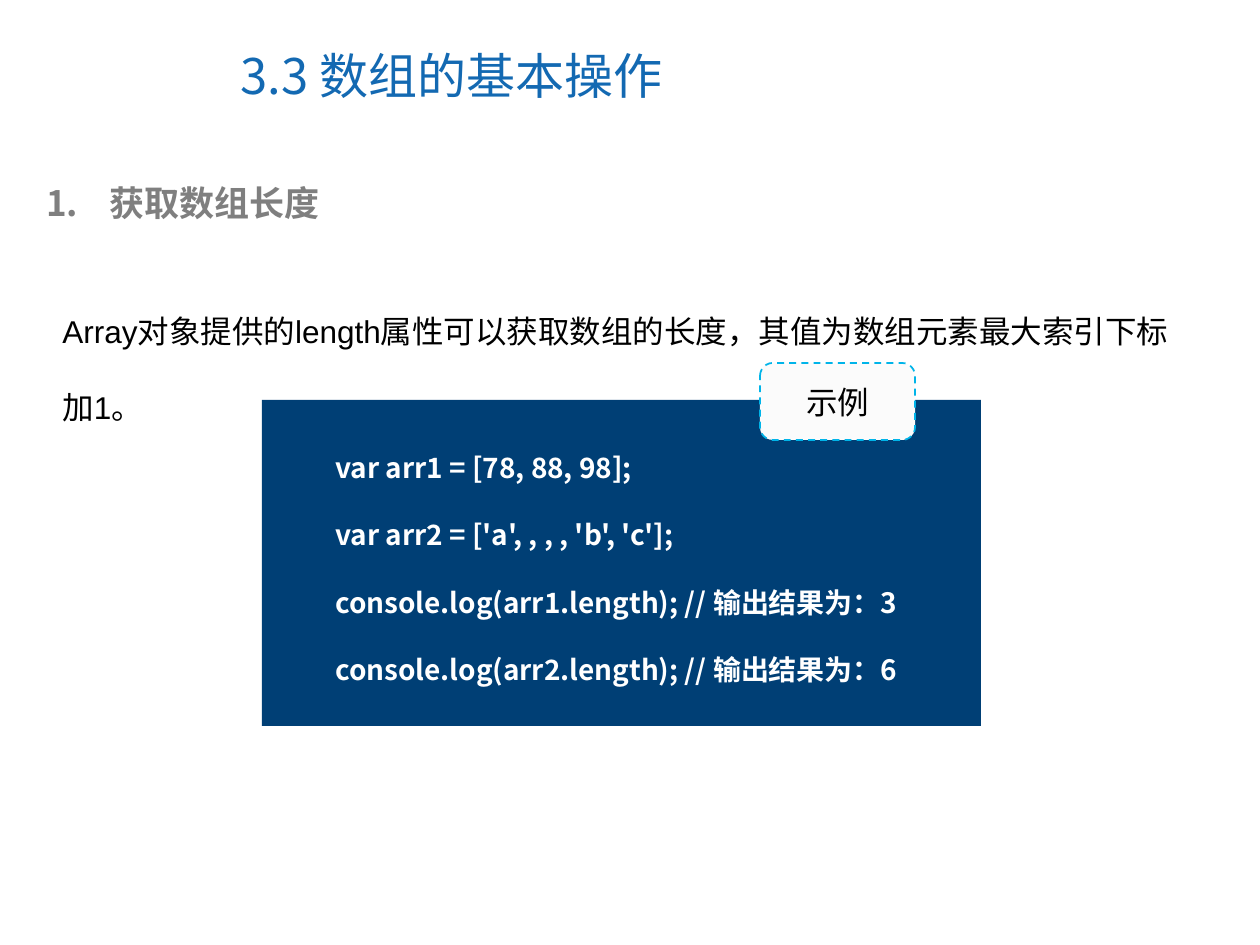
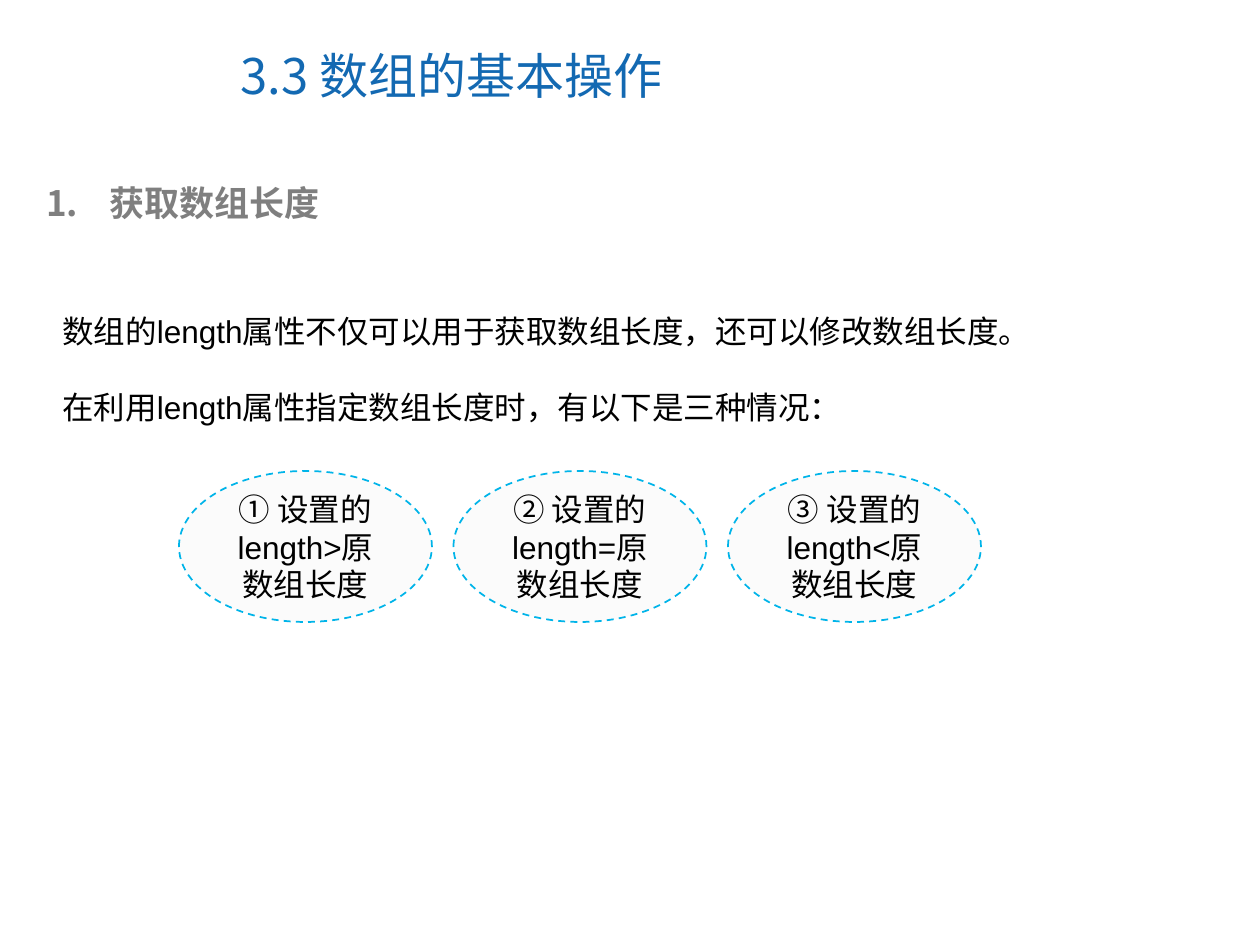
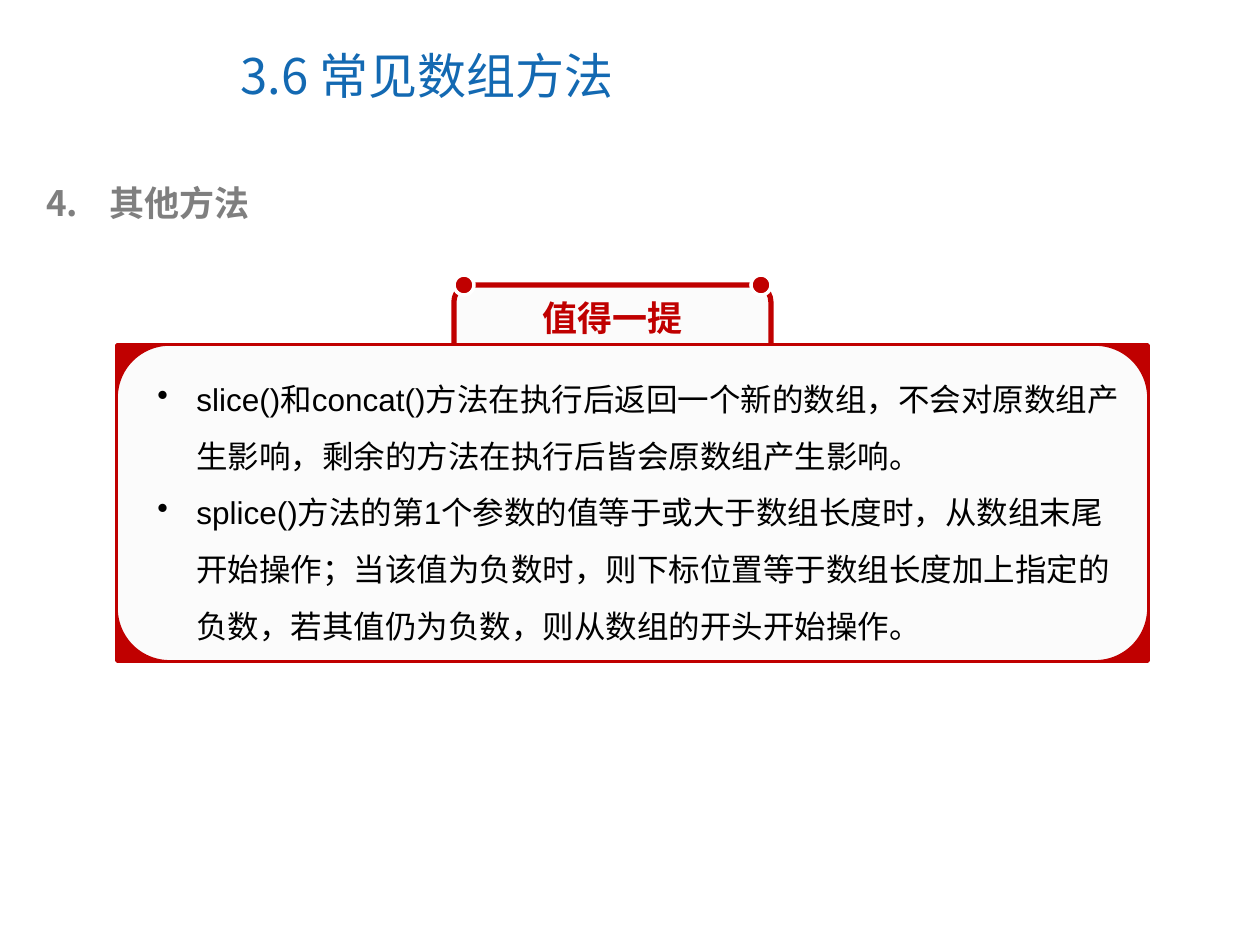
from lxml import etree
from pptx import Presentation
from pptx.dml.color import RGBColor
from pptx.enum.dml import MSO_LINE
from pptx.enum.shapes import MSO_SHAPE
from pptx.enum.text import MSO_ANCHOR, MSO_AUTO_SIZE, PP_ALIGN
from pptx.oxml.ns import qn
from pptx.util import Pt

RECT, ROUND, OVAL = MSO_SHAPE.RECTANGLE, MSO_SHAPE.ROUNDED_RECTANGLE, MSO_SHAPE.OVAL
FLOW, ALT = MSO_SHAPE.FLOWCHART_PROCESS, MSO_SHAPE.FLOWCHART_ALTERNATE_PROCESS
DASH = MSO_LINE.DASH
MIDDLE = MSO_ANCHOR.MIDDLE
LEFT, CENTER = PP_ALIGN.LEFT, PP_ALIGN.CENTER
FIXED = MSO_AUTO_SIZE.NONE

SCALE = 914400 / 126  # EMU in one px
COLORS = {
    "title": "1369B2", "head": "7F7F7F", "text": "000000", "code": "003F75",
    "pale": "FBFBFB", "cyan": "00B4E9", "red": "C00000", "white": "FFFFFF",
}
SANS, HAN = "Arial", "Noto Sans CJK SC"


def px(n):
    return round(n * SCALE)


def color(name):
    return RGBColor.from_string(COLORS[name])


def bullet(para, hue, indent, tag, **attrs):
    """Give a paragraph a hanging bullet or number."""
    props = para._p.get_or_add_pPr()
    props.set("marL", str(px(indent)))
    props.set("indent", str(-px(indent)))
    fill = etree.SubElement(props, qn("a:buClr"))
    etree.SubElement(fill, qn("a:srgbClr"), val=COLORS[hue])
    etree.SubElement(props, qn("a:" + tag), **attrs)


def write(frame, lines, size, hue, font=SANS, bold=False, align=LEFT, space=None, mark=None):
    frame.text = "\n".join(lines)
    for para in frame.paragraphs:
        if mark:
            bullet(para, hue, **mark)
        para.alignment = align
        if space:
            para.line_spacing = space
        face = para.font
        face.name, face.size, face.bold = font, Pt(size), bold
        face.color.rgb = color(hue)
        etree.SubElement(face._element, qn("a:ea"), typeface=HAN)


def text(slide, box, lines, size, hue, **style):
    frame = slide.shapes.add_textbox(*map(px, box)).text_frame
    frame.word_wrap = True
    write(frame, lines, size, hue, **style)


def shape(slide, kind, box, fill, line=None, width=1, dash=None):
    item = slide.shapes.add_shape(kind, *map(px, box))
    item.shadow.inherit = False
    item.fill.solid()
    item.fill.fore_color.rgb = color(fill)
    if line:
        item.line.color.rgb = color(line)
        item.line.width = Pt(width)
        if dash:
            item.line.dash_style = dash
    else:
        item.line.fill.background()
    return item


def badge(slide, kind, box, label):
    """Pale shape with a dashed cyan edge and a centred label."""
    item = shape(slide, kind, box, "pale", "cyan", dash=DASH)
    frame = item.text_frame
    frame.word_wrap = True
    frame.vertical_anchor = MIDDLE
    write(frame, [label], 18, "text", align=CENTER)


def page(deck, title, head, start):
    """Slide with the shared title and numbered heading."""
    slide = deck.slides.add_slide(deck.slide_layouts[5])
    top = slide.shapes.title
    top.left, top.top, top.width, top.height = map(px, (228, 21, 650, 107))
    frame = top.text_frame
    frame.auto_size = FIXED
    frame.vertical_anchor = MIDDLE
    write(frame, [title], 28, "title", font=HAN)
    mark = dict(indent=63, tag="buAutoNum", type="arabicPeriod", startAt=str(start))
    text(slide, (34, 175, 1162, 55), [head], 20, "head", font=HAN, bold=True, mark=mark)
    return slide


def code(slide, box, lines):
    """Code panel with its label over the top edge."""
    x, y, w, h = box
    shape(slide, RECT, box, "code")
    text(slide, (x + 61, y + 11, w - 61, h - 44), lines, 16, "white",
         font=HAN, bold=True, space=2)
    badge(slide, ROUND, (x + 498, y - 37, 155, 77), "示例")


def ovals(slide, box, labels):
    """Row of equal ovals across the box."""
    x, y, w, h = box
    wide = 253
    step = (w - wide) / (len(labels) - 1)
    for i, label in enumerate(labels):
        badge(slide, OVAL, (x + i * step, y, wide, h), label)


def note(slide, box, label, lines):
    """Red card with a tab on top and bulleted text."""
    x, y, w, h = box
    # Tab behind the card
    tab_x, tab_y, tab_w, dot = x + 337, y - 60, 317, 20
    shape(slide, ROUND, (tab_x, tab_y, tab_w, 100), "pale", "red", 3)
    # Card
    shape(slide, FLOW, box, "red", "red", 2)
    shape(slide, ALT, box, "pale", "red")
    # Dots on the tab's corners
    for dot_x in (tab_x, tab_x + tab_w - dot):
        shape(slide, OVAL, (dot_x, tab_y - dot / 2, dot, dot), "red", "white", 2)
    # Label across the whole tab
    text(slide, (tab_x, tab_y + 5, tab_w, 55), [label], 20, "red",
         font=HAN, bold=True, align=CENTER)
    text(slide, (x + 28, y + 10, w - 42, h - 20), lines, 18, "text", space=1.5,
         mark=dict(indent=39, tag="buChar", char="•"))


def main():
    deck = Presentation()
    deck.slide_width, deck.slide_height = px(1260), px(945)

    # Reading the length
    slide = page(deck, "3.3 数组的基本操作", "获取数组长度", 1)
    text(slide, (50, 268, 1158, 164),
         ["Array对象提供的length属性可以获取数组的长度，其值为数组元素最大索引下标加1。"],
         18, "text", space=2)
    code(slide, (262, 400, 719, 326), [
        "var arr1 = [78, 88, 98];",
        "var arr2 = ['a', , , , 'b', 'c'];",
        "console.log(arr1.length); // 输出结果为：3",
        "console.log(arr2.length); // 输出结果为：6",
    ])

    # Setting the length
    slide = page(deck, "3.3 数组的基本操作", "获取数组长度", 1)
    text(slide, (50, 268, 1210, 164), [
        "数组的length属性不仅可以用于获取数组长度，还可以修改数组长度。",
        "在利用length属性指定数组长度时，有以下是三种情况：",
    ], 18, "text", space=2)
    ovals(slide, (179, 471, 802, 151),
          [f"{num} 设置的length{sign}原数组长度" for num, sign in zip("①②③", ">=<")])

    # Other methods
    slide = page(deck, "3.6 常见数组方法", "其他方法", 4)
    note(slide, (117, 345, 1031, 316), "值得一提", [
        "slice()和concat()方法在执行后返回一个新的数组，不会对原数组产生影响，"
        "剩余的方法在执行后皆会原数组产生影响。",
        "splice()方法的第1个参数的值等于或大于数组长度时，从数组末尾开始操作；"
        "当该值为负数时，则下标位置等于数组长度加上指定的负数，"
        "若其值仍为负数，则从数组的开头开始操作。",
    ])

    deck.save("out.pptx")


if __name__ == "__main__":
    main()
